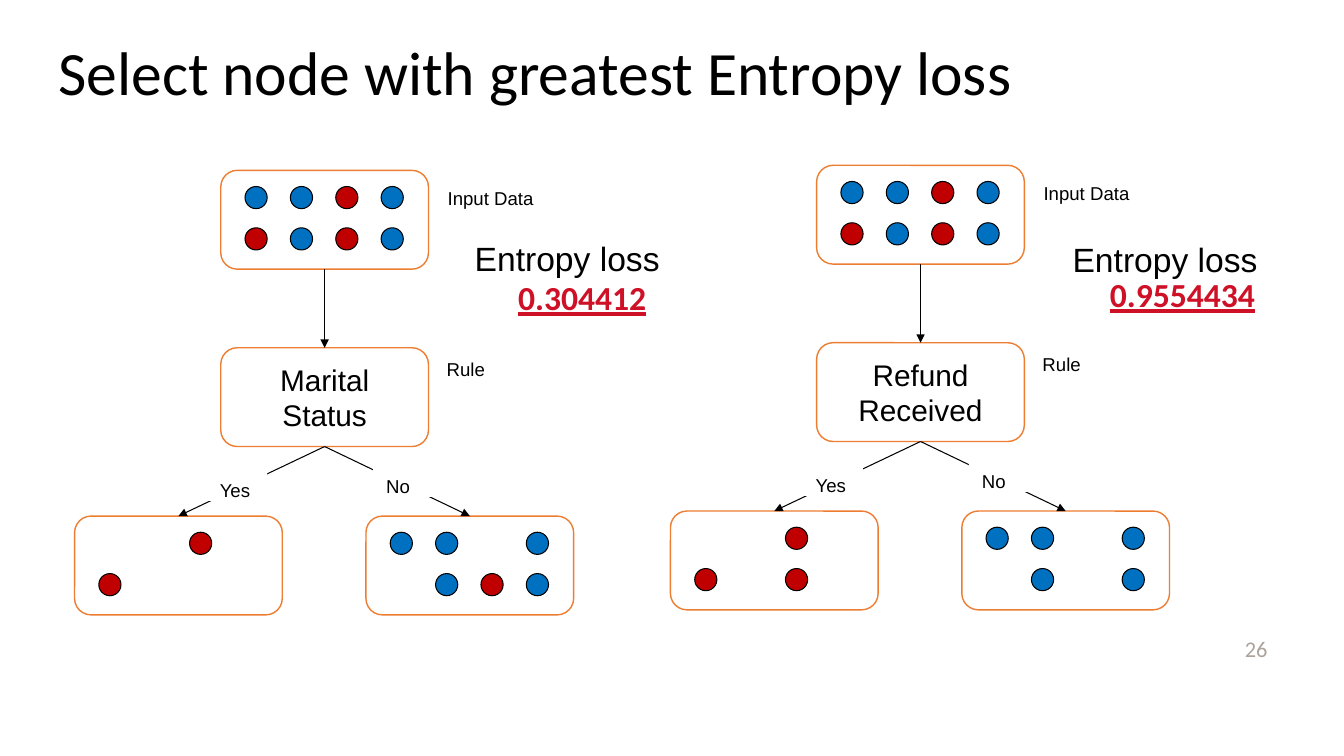
from lxml import etree
from pptx import Presentation
from pptx.dml.color import RGBColor
from pptx.enum.shapes import MSO_CONNECTOR as Connector, MSO_SHAPE as Shape
from pptx.enum.text import MSO_ANCHOR as Anchor, MSO_AUTO_SIZE as AutoSize, PP_ALIGN as Align
from pptx.oxml.ns import qn
from pptx.util import Inches, Pt

BLACK = RGBColor(0x00, 0x00, 0x00)
WHITE = RGBColor(0xFF, 0xFF, 0xFF)
ORANGE = RGBColor(0xED, 0x7D, 0x31)
BLUE = RGBColor(0x00, 0x70, 0xC0)
DARK_RED = RGBColor(0xC0, 0x00, 0x00)
CRIMSON = RGBColor(0xCE, 0x11, 0x26)
GREY = RGBColor(0xAC, 0xA3, 0x9A)

BOX_W, BOX_H = 2.06, 0.98
DOT_SIZE = 0.22
DOT_COLORS = {"B": BLUE, "R": DARK_RED}
TOP, BOTTOM = 0, 2


class TreeSlide:
    """Holds the slide and the style of its elements."""

    body_font = "Arial"
    heading_font = "Calibri"

    def __init__(self, prs):
        self.slide = prs.slides.add_slide(prs.slide_layouts[5])
        self.shapes = self.slide.shapes

    def set_text(self, frame, text, size, color=BLACK, font=None, align=Align.LEFT):
        frame.word_wrap = True
        frame.text = text
        paragraph = frame.paragraphs[0]
        paragraph.alignment = align
        paragraph.font.size = Pt(size)
        paragraph.font.name = font or self.body_font
        paragraph.font.color.rgb = color
        return paragraph

    def title(self, text):
        title = self.shapes.title
        title.left, title.top = Inches(0.48), Inches(0.12)
        title.width, title.height = Inches(12.56), Inches(1.25)
        frame = title.text_frame
        frame.auto_size = AutoSize.NONE
        frame.vertical_anchor = Anchor.MIDDLE
        self.set_text(frame, text, 44, font=self.heading_font).line_spacing = 0.9

    def text(self, text, x, y, w, h, size, **style):
        box = self.shapes.add_textbox(Inches(x), Inches(y), Inches(w), Inches(h))
        return self.set_text(box.text_frame, text, size, **style)

    def shape(self, kind, x, y, w, h, fill, line=None, weight=1):
        shape = self.shapes.add_shape(kind, Inches(x), Inches(y), Inches(w), Inches(h))
        shape.shadow.inherit = False
        shape.fill.solid()
        shape.fill.fore_color.rgb = fill
        if line is None:
            shape.line.fill.background()
        else:
            shape.line.color.rgb = line
            shape.line.width = Pt(weight)
        frame = shape.text_frame
        frame.margin_left = frame.margin_right = Inches(0.13)
        frame.margin_top = frame.margin_bottom = Inches(0.07)
        return shape

    def node(self, x, y):
        return self.shape(Shape.ROUNDED_RECTANGLE, x, y, BOX_W, BOX_H, WHITE, ORANGE)

    def rule_node(self, text, x, y):
        node = self.node(x, y)
        node.text_frame.vertical_anchor = Anchor.MIDDLE
        self.set_text(node.text_frame, text, 21.3, align=Align.CENTER)
        return node

    def data_node(self, x, y, rows):
        """Draws a node with one dot per letter; a full stop leaves a gap."""
        node = self.node(x, y)
        for row, letters in enumerate(rows):
            for column, letter in enumerate(letters):
                if letter in DOT_COLORS:
                    self.shape(Shape.OVAL, x + 0.24 + 0.45 * column, y + 0.16 + 0.41 * row,
                               DOT_SIZE, DOT_SIZE, DOT_COLORS[letter], BLACK, 0.75)
        return node

    def label(self, text, x, y, w):
        label = self.shape(Shape.RECTANGLE, x, y, w, 0.29, WHITE)
        label.text_frame.vertical_anchor = Anchor.TOP
        self.set_text(label.text_frame, text, 13.3)

    def arrow(self, parent, child):
        arrow = self.shapes.add_connector(Connector.STRAIGHT, 0, 0, 0, 0)
        arrow.begin_connect(parent, BOTTOM)
        arrow.end_connect(child, TOP)
        arrow.line.color.rgb = BLACK
        arrow.line.width = Pt(0.75)
        properties = arrow.element.spPr
        etree.SubElement(properties.find(qn("a:ln")), qn("a:tailEnd"), type="triangle")
        etree.SubElement(properties, qn("a:effectLst"))

    def tree(self, x, y, rule_text, yes_rows, no_rows):
        # Nodes
        parent_x = x + 1.45
        data = self.data_node(parent_x, y, ("BBRB", "RBRB"))
        rule = self.rule_node(rule_text, parent_x, y + 1.76)
        yes = self.data_node(x, y + 3.43, yes_rows)
        no = self.data_node(x + 2.89, y + 3.43, no_rows)

        # Arrows, with the answers on top of them
        for parent, child in ((data, rule), (rule, yes), (rule, no)):
            self.arrow(parent, child)
        self.label("Yes", x + 1.31, y + 2.99, 0.6)
        self.label("No", x + 2.96, y + 2.95, 0.6)

        # Side labels
        self.label("Input Data", x + 3.57, y + 0.09, 1.67)
        self.label("Rule", x + 3.56, y + 1.79, 1.67)

    def entropy_loss(self, value, x, y, value_x, value_y):
        self.text("Entropy loss", x, y, 2.6, 0.5, 24)
        result = self.text(value, value_x, value_y, 2.04, 0.5, 24,
                           color=CRIMSON, font=self.heading_font)
        result.font.bold = True
        result.font.underline = True


def main():
    prs = Presentation()
    prs.slide_width, prs.slide_height = Inches(13.33), Inches(7.5)
    page = TreeSlide(prs)
    page.title("Select node with greatest Entropy loss")

    # Candidate split on marital status
    page.tree(0.74, 1.69, "Marital Status", ("..R.", "R..."), ("BB.B", ".BRB"))
    page.entropy_loss("0.304412", 4.61, 2.31, 5.04, 2.7)

    # Candidate split on refund received
    page.tree(6.65, 1.64, "Refund Received", ("..R.", "R.R."), ("BB.B", ".B.B"))
    page.entropy_loss("0.9554434", 10.54, 2.32, 10.91, 2.67)

    # Page number
    page.text("26", 9.56, 6.25, 3.11, 0.4, 16, color=GREY,
              font=page.heading_font, align=Align.RIGHT)

    prs.save("out.pptx")


if __name__ == "__main__":
    main()
